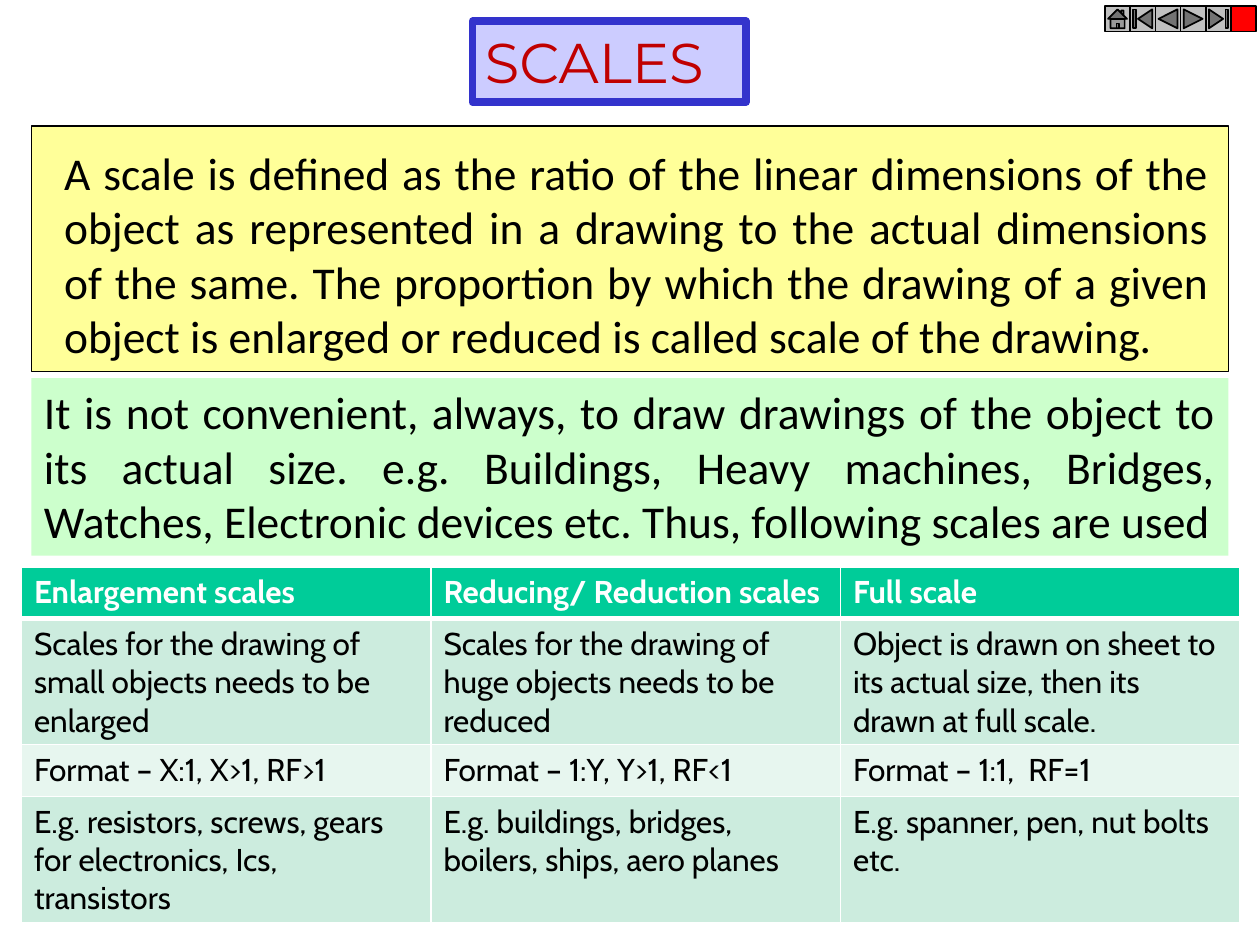
from dataclasses import dataclass

from lxml import etree
from pptx import Presentation
from pptx import util as u
from pptx.dml.color import RGBColor
from pptx.enum import shapes, text
from pptx.oxml import ns

Inches = u.Inches


@dataclass(frozen=True)
class Theme:
    black: str = "000000"
    white: str = "FFFFFF"
    title_text: str = "C00000"
    title_fill: str = "CCCCFF"
    title_line: str = "3333CC"
    definition_fill: str = "FFFF99"
    need_fill: str = "CCFFCC"
    button_fill: str = "C0C0C0"
    stop_fill: str = "FF0000"
    header_fill: str = "00CC99"
    bands: tuple = ("CCECDE", "E7F6EF")
    title_font: str = "Montserrat"
    body_font: str = "Calibri"
    table_font: str = "Cabin"
    title_size: int = 32
    body_size: int = 26
    table_size: int = 18


THEME = Theme()

DEFINITION = (
    "A scale is defined as the ratio of the linear dimensions of the object as "
    "represented in a drawing to the actual dimensions of the same. The proportion by "
    "which the drawing of a given object is enlarged or reduced is called scale of the "
    "drawing."
)
NEED = (
    "It is not convenient, always, to draw drawings of the object to its actual size. "
    "e.g. Buildings, Heavy machines, Bridges, Watches, Electronic devices etc. Thus, "
    "following scales are used"
)
SCALE_TYPES = [
    ["Enlargement scales", "Reducing/ Reduction scales", "Full scale"],
    ["Scales for the drawing of small objects needs to be enlarged",
     "Scales for the drawing of huge objects needs to be reduced",
     "Object is drawn on sheet to its actual size, then its drawn at full scale."],
    ["Format – X:1, X>1, RF>1", "Format – 1:Y, Y>1, RF<1", "Format – 1:1,  RF=1"],
    ["E.g. resistors, screws, gears for electronics, Ics, transistors",
     "E.g. buildings, bridges, boilers, ships, aero planes",
     "E.g. spanner, pen, nut bolts etc."],
]


def write(frame, content, *, font, size, color=THEME.black, bold=False,
          align=text.PP_ALIGN.LEFT):
    """Put one formatted paragraph in a text frame and return it."""
    paragraph = frame.paragraphs[0]
    paragraph.alignment = align
    run = paragraph.add_run()
    run.text = content
    run.font.name = font
    run.font.size = u.Pt(size)
    run.font.bold = bold
    run.font.color.rgb = RGBColor.from_string(color)
    return paragraph


def fit_to_text(frame, wrap=True):
    frame.word_wrap = wrap
    frame.auto_size = text.MSO_AUTO_SIZE.SHAPE_TO_FIT_TEXT
    frame.vertical_anchor = text.MSO_ANCHOR.TOP


def add_panel(parent, box, fill, line=None, width=1,
              kind=shapes.MSO_SHAPE.RECTANGLE):
    panel = parent.add_shape(kind, *map(Inches, box))
    panel.shadow.inherit = False
    panel.fill.solid()
    panel.fill.fore_color.rgb = RGBColor.from_string(fill)
    if line:
        panel.line.color.rgb = RGBColor.from_string(line)
        panel.line.width = u.Pt(width)
    else:
        panel.line.fill.background()
    return panel


def add_title(slide, box):
    title = add_panel(slide.shapes, box, THEME.title_fill, THEME.title_line, 4.5)
    fit_to_text(title.text_frame, wrap=False)
    write(title.text_frame, "SCALES", font=THEME.title_font, size=THEME.title_size,
          color=THEME.title_text)


def add_definition(slide, box):
    left, top, width, _ = box
    group = slide.shapes.add_group_shape().shapes
    add_panel(group, box, THEME.definition_fill, THEME.black, 0.75)
    definition = group.add_textbox(Inches(left + 0.06), Inches(top + 0.1),
                                   Inches(width - 0.11), Inches(2.4))
    fit_to_text(definition.text_frame)
    paragraph = write(definition.text_frame, DEFINITION, font=THEME.body_font,
                      size=THEME.body_size, align=text.PP_ALIGN.JUSTIFY)
    paragraph.level = 1
    properties = paragraph._p.get_or_add_pPr()
    properties.set("marL", str(Inches(0.1)))
    properties.set("indent", "0")


def add_navigation(slide, box):
    """Fill the box with a row of equal action buttons."""
    left, top, width, height = box
    kinds = shapes.MSO_SHAPE
    buttons = [kinds.ACTION_BUTTON_HOME, kinds.ACTION_BUTTON_BEGINNING,
               kinds.ACTION_BUTTON_BACK_OR_PREVIOUS,
               kinds.ACTION_BUTTON_FORWARD_OR_NEXT, kinds.ACTION_BUTTON_END,
               kinds.ACTION_BUTTON_CUSTOM]
    step = width / len(buttons)
    group = slide.shapes.add_group_shape().shapes
    for i, kind in enumerate(buttons):
        is_stop = kind == kinds.ACTION_BUTTON_CUSTOM
        add_panel(group, (left + i * step, top, step, height),
                  THEME.stop_fill if is_stop else THEME.button_fill,
                  THEME.black, kind=kind)


def add_need(slide, box):
    need = add_panel(slide.shapes, box, THEME.need_fill)
    fit_to_text(need.text_frame)
    write(need.text_frame, NEED, font=THEME.body_font, size=THEME.body_size,
          align=text.PP_ALIGN.JUSTIFY)


def set_borders(cell, color, **widths):
    """Draw cell borders; widths in points are keyed L, R, T, B in that order."""
    properties = cell._tc.get_or_add_tcPr()
    for i, (side, width) in enumerate(widths.items()):
        line = etree.Element(ns.qn(f"a:ln{side}"), w=str(u.Pt(width)))
        fill = etree.SubElement(line, ns.qn("a:solidFill"))
        etree.SubElement(fill, ns.qn("a:srgbClr"), val=color)
        properties.insert(i, line)


def add_scale_table(slide, box):
    table = slide.shapes.add_table(len(SCALE_TYPES), len(SCALE_TYPES[0]),
                                   *map(Inches, box)).table
    table.horz_banding = False
    for column, width in zip(table.columns, (3.25, 3.25, 3.17)):
        column.width = Inches(width)
    for r, row in enumerate(SCALE_TYPES):
        is_header = r == 0
        fill = THEME.header_fill if is_header else THEME.bands[(r - 1) % 2]
        for c, content in enumerate(row):
            cell = table.cell(r, c)
            cell.fill.solid()
            cell.fill.fore_color.rgb = RGBColor.from_string(fill)
            set_borders(cell, THEME.white, L=1, R=1, T=3 if r == 1 else 1,
                        B=3 if is_header else 1)
            write(cell.text_frame, content, font=THEME.table_font,
                  size=THEME.table_size, bold=is_header,
                  color=THEME.white if is_header else THEME.black)


def main():
    deck = Presentation()
    deck.slide_width, deck.slide_height = Inches(10), Inches(7.5)
    slide = deck.slides.add_slide(deck.slide_layouts[6])
    add_title(slide, (3.75, 0.17, 2.17, 0.64))
    add_definition(slide, (0.25, 1, 9.5, 1.95))
    add_navigation(slide, (8.77, 0.05, 1.2, 0.2))
    add_need(slide, (0.25, 3, 9.5, 1.41))
    add_scale_table(slide, (0.17, 4.5, 9.67, 1.64))
    deck.save("out.pptx")


if __name__ == "__main__":
    main()
